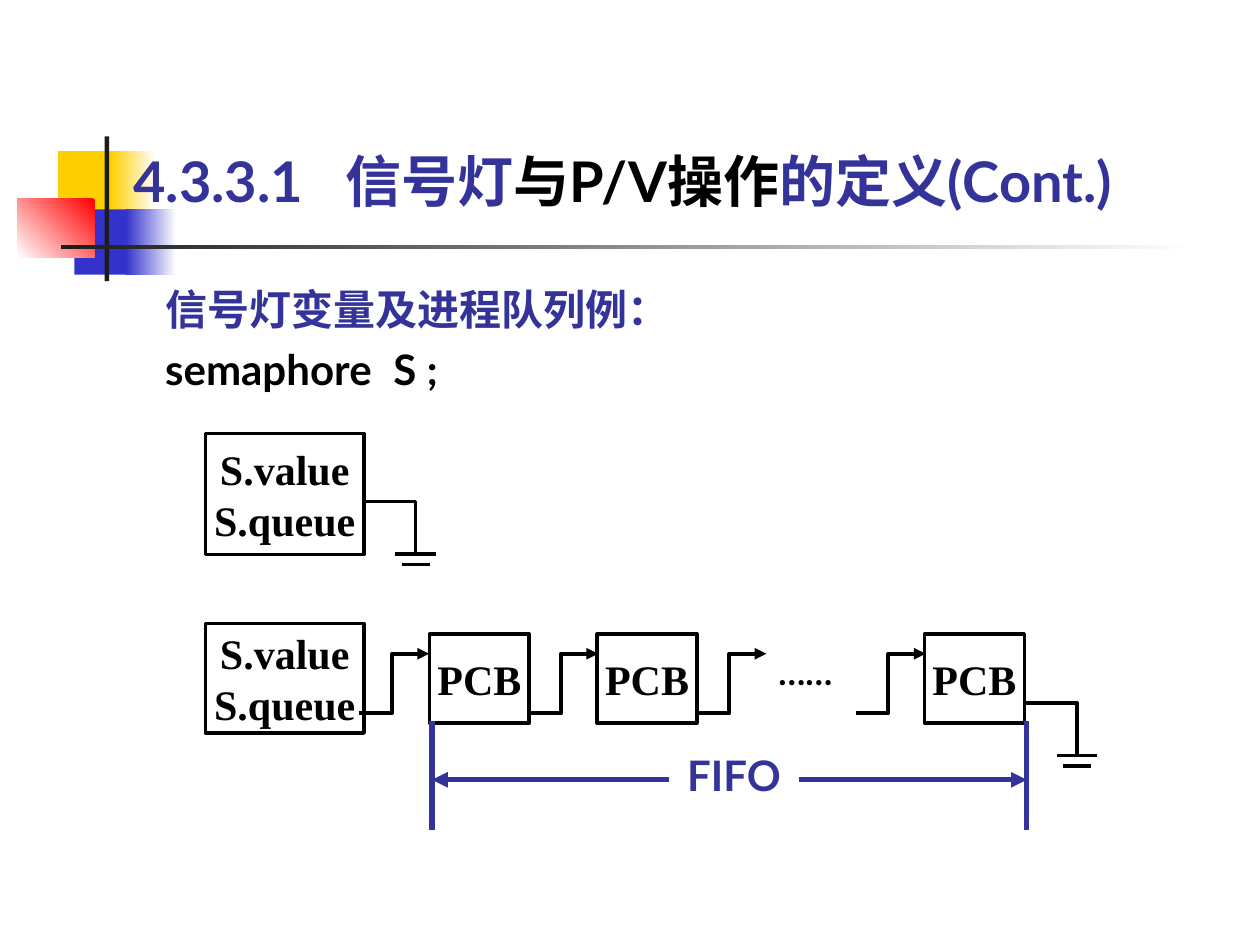
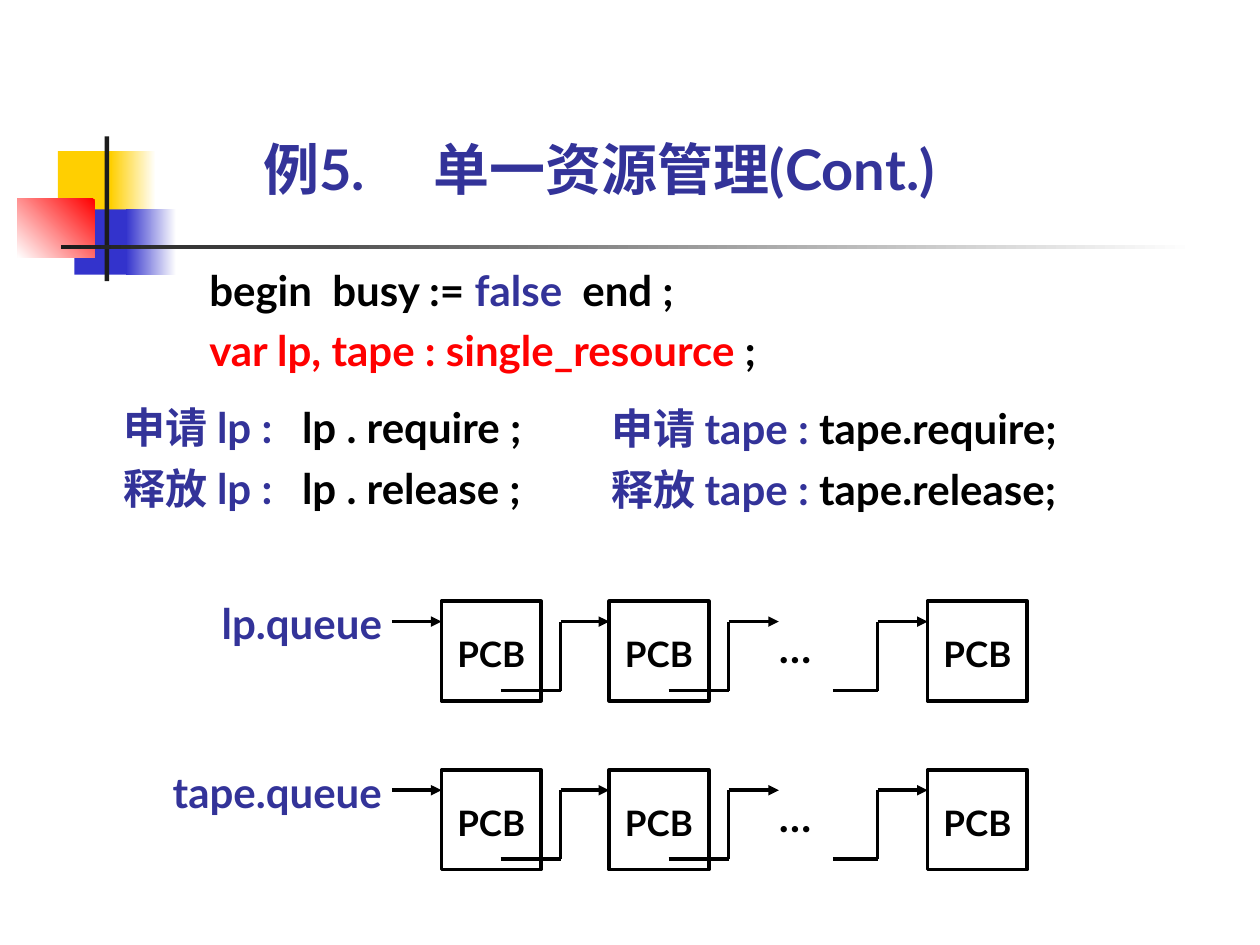
from itertools import pairwise

from lxml import etree
from pptx import Presentation
from pptx.dml.color import RGBColor
from pptx.enum.shapes import MSO_CONNECTOR, MSO_SHAPE
from pptx.enum.text import MSO_ANCHOR, PP_ALIGN
from pptx.oxml.ns import qn
from pptx.util import Cm, Pt

RECTANGLE = MSO_SHAPE.RECTANGLE
STRAIGHT = MSO_CONNECTOR.STRAIGHT
LEFT, CENTER, RIGHT = PP_ALIGN.LEFT, PP_ALIGN.CENTER, PP_ALIGN.RIGHT
TOP, MIDDLE, BOTTOM = MSO_ANCHOR.TOP, MSO_ANCHOR.MIDDLE, MSO_ANCHOR.BOTTOM

INDIGO = RGBColor(0x33, 0x33, 0x99)
BLACK = RGBColor(0, 0, 0)
WHITE = RGBColor(0xFF, 0xFF, 0xFF)
RED = RGBColor(0xFF, 0, 0)
YELLOW = RGBColor(0xFF, 0xCF, 0x01)
BLUE = RGBColor(0x33, 0x33, 0xCC)
CHARCOAL = RGBColor(0x1C, 0x1C, 0x1C)
SANS, SERIF = "Lato", "Times New Roman"


def add_text(page, place, lines, size=24, font=SANS, align=LEFT, anchor=TOP,
             spacing=None, tabs=(), insets=(0, 0, 0, 0), outlined=False):
    lengths = [Cm(value) for value in place]
    if outlined:
        box = page.shapes.add_shape(RECTANGLE, *lengths)
        box.shadow.inherit = False
        box.fill.background()
        box.line.color.rgb = BLACK
        box.line.width = Pt(2)
    else:
        box = page.shapes.add_textbox(*lengths)
    frame = box.text_frame
    frame.word_wrap = True
    frame.vertical_anchor = anchor
    frame.margin_left, frame.margin_top, frame.margin_right, frame.margin_bottom = map(Cm, insets)
    for number, spans in enumerate(lines):
        para = frame.add_paragraph() if number else frame.paragraphs[0]
        para.alignment = align
        if spacing:
            para.line_spacing = spacing
        if tabs:
            tab_list = etree.SubElement(para._p.get_or_add_pPr(), qn("a:tabLst"))
            for stop in tabs:
                etree.SubElement(tab_list, qn("a:tab"), pos=str(Cm(stop)), algn="l")
        para.font.name = font
        para.font.size = Pt(size)
        para.font.bold = True
        para.font.color.rgb = spans[0][1]
        for text, color in spans:
            span = para.add_run()
            span.text = text
            if color != spans[0][1]:
                span.font.color.rgb = color


def add_line(page, points, color=BLACK, width=2, arrow=False):
    points = [(Cm(x), Cm(y)) for x, y in points]
    if len(points) == 2:
        line = page.shapes.add_connector(STRAIGHT, *points[0], *points[1])
    else:
        builder = page.shapes.build_freeform(*points[0])
        builder.add_line_segments(points[1:], close=False)
        line = builder.convert_to_shape()
        line.fill.background()
    line.line.color.rgb = color
    line.line.width = Pt(width)
    properties = line.element.spPr
    if arrow:
        etree.SubElement(properties.find(qn("a:ln")), qn("a:tailEnd"), type="triangle")
    etree.SubElement(properties, qn("a:effectLst"))


deck = Presentation()
deck.slide_width, deck.slide_height = Cm(25.4), Cm(19.05)
blank = deck.slide_layouts[6]

ornaments = [
    ((1.17, 3.05, 1.21, 1.32), [YELLOW], 0),
    ((2.23, 3.05, 0.91, 1.32), [WHITE, YELLOW], 180),
    ((1.5, 4.22, 1.17, 1.32), [BLUE], 0),
    ((2.54, 4.22, 1.01, 1.32), [WHITE, BLUE], 180),
    ((0.35, 4.01, 1.56, 1.18), [RED, WHITE], 225),
    ((2.11, 2.75, 0.09, 2.92), [CHARCOAL], 0),
    ((1.23, 4.94, 22.86, 0.09), [WHITE, CHARCOAL], 180),
]
titles = [
    ((2.69, 2.95, 21.41, 1.35), 4.27,
     [("4.3.3.1\t信号灯", INDIGO), ("与P/V操作", BLACK), ("的定义(Cont.)", INDIGO)]),
    ((5.31, 2.72, 15.01, 1.35), 3.43, [("例5.\t单一资源管理(Cont.)", INDIGO)]),
]
pages = []
for place, stop, spans in titles:
    page = deck.slides.add_slide(blank)
    pages.append(page)
    for area, colors, angle in ornaments:
        ornament = page.shapes.add_shape(RECTANGLE, *map(Cm, area))
        ornament.shadow.inherit = False
        ornament.line.fill.background()
        if len(colors) == 1:
            ornament.fill.solid()
            ornament.fill.fore_color.rgb = colors[0]
        else:
            ornament.fill.gradient()
            ornament.fill.gradient_angle = angle
            for gradient_stop, color in zip(ornament.fill.gradient_stops, colors):
                gradient_stop.color.rgb = color
    add_text(page, place, [spans], size=32, anchor=BOTTOM, tabs=[stop])

semaphore_page, resource_page = pages

add_text(semaphore_page, (3.33, 5.51, 11.15, 2.44),
         [[("信号灯变量及进程队列例：", INDIGO)], [("semaphore\tS ;", BLACK)]],
         spacing=1.2, tabs=[4.6])
for top, height in [(8.74, 2.44), (12.57, 2.21)]:
    add_text(semaphore_page, (4.14, top, 3.2, height),
             [[("S.value", BLACK)], [("S.queue", BLACK)]],
             font=SERIF, align=CENTER, anchor=MIDDLE, outlined=True)
for left in [8.66, 12.04, 18.64]:
    add_text(semaphore_page, (left, 12.78, 2.01, 1.8), [[("PCB", BLACK)]],
             font=SERIF, align=CENTER, anchor=MIDDLE, outlined=True)
for left in [7.24, 10.65, 14.04, 17.25]:
    add_line(semaphore_page,
             [(left, 14.38), (left + 0.66, 14.38), (left + 0.66, 13.18), (left + 1.41, 13.18)],
             width=2.25, arrow=True)
for left, top in [(7.32, 10.11), (20.65, 14.17)]:
    stem, foot = left + 1.06, top + 1.06
    add_line(semaphore_page, [(left, top), (stem, top), (stem, foot)])
    for half_width, drop in [(0.41, 0), (0.28, 0.21)]:
        add_line(semaphore_page,
                 [(stem - half_width, foot + drop), (stem + half_width, foot + drop)])
add_text(semaphore_page, (15.44, 12.98, 2.01, 1.12), [[("……", BLACK)]],
         size=20, insets=(0.25, 0.13, 0.25, 0.13))
for inner, outer in [(13.49, 8.71), (16.1, 20.7)]:
    add_line(semaphore_page, [(outer, 14.53), (outer, 16.74)], INDIGO, 3)
    add_line(semaphore_page, [(inner, 15.72), (outer, 15.72)], INDIGO, 3, arrow=True)
add_text(semaphore_page, (13.69, 15.11, 2.21, 1.02), [[("FIFO", INDIGO)]], align=CENTER)

add_text(resource_page, (4.22, 5.13, 12.47, 2.44),
         [[("begin\tbusy := ", BLACK), ("false", INDIGO), ("\tend ;", BLACK)],
          [("var lp, tape : single_resource", RED), (" ;", BLACK)]],
         spacing=1.2, tabs=[2.48, 7.52])
add_text(resource_page, (2.49, 7.9, 8.97, 2.44),
         [[(f"{action} lp :", INDIGO), (f"\tlp . {call} ;", BLACK)]
          for action, call in [("申请", "require"), ("释放", "release")]],
         spacing=1.2, tabs=[3.6])
add_text(resource_page, (12.32, 7.92, 10.19, 2.44),
         [[(f"{action} tape :", INDIGO), (f" tape.{call};", BLACK)]
          for action, call in [("申请", "require"), ("释放", "release")]],
         spacing=1.2)
for name, top in [("lp.queue", 12.12), ("tape.queue", 15.52)]:
    upper, lower = top + 0.41, top + 1.8
    add_text(resource_page, (2.29, top - 0.07, 5.41, 1.02), [[(name, INDIGO)]], align=RIGHT)
    for left in [8.9, 12.28, 18.7]:
        add_text(resource_page, (left, top, 2.01, 2.01), [[("PCB", BLACK)]], size=20,
                 align=CENTER, insets=(0.05, 0.64, 0.05, 0.13), outlined=True)
    add_line(resource_page, [(7.9, upper), (8.9, upper)], arrow=True)
    for start, bend, end in [(10.09, 11.3, 12.28), (13.48, 14.69, 15.7), (16.79, 17.69, 18.7)]:
        corners = [(start, lower), (bend, lower), (bend, upper), (end, upper)]
        for segment in pairwise(corners):
            add_line(resource_page, segment, arrow=segment[1] == corners[-1])
    add_text(resource_page, (15.7, upper, 0.99, 1.02), [[("…", BLACK)]])

deck.save("out.pptx")
